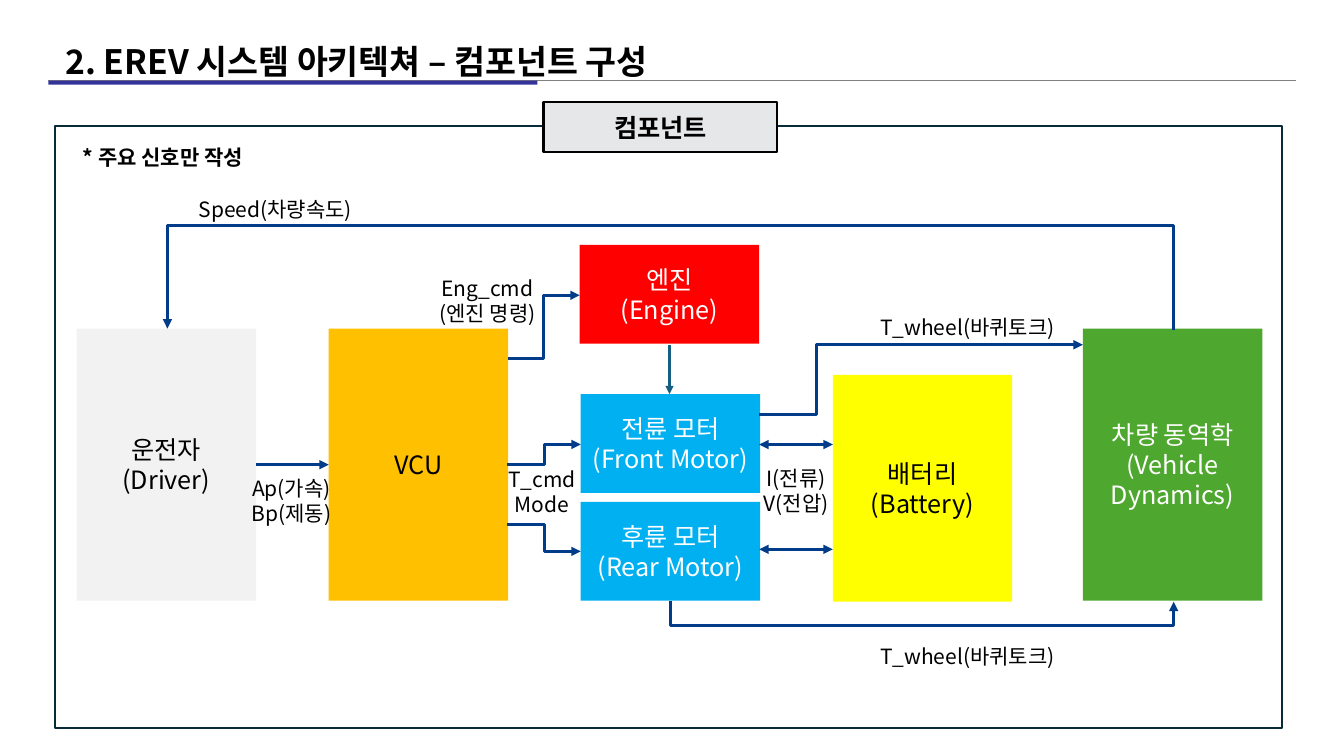
from dataclasses import dataclass

from lxml.etree import SubElement
from pptx import Presentation
from pptx.dml.color import RGBColor
from pptx.enum.shapes import MSO_CONNECTOR as Link, MSO_SHAPE as Shape
from pptx.enum.text import MSO_ANCHOR as Anchor, MSO_AUTO_SIZE as AutoSize, PP_ALIGN as Align
from pptx.oxml.ns import qn
from pptx.util import Inches, Pt


@dataclass(frozen=True)
class Theme:
    font: str = "Noto Sans CJK KR"
    title: int = 24
    block: int = 18
    label: int = 15
    black: str = "000000"
    white: str = "FFFFFF"
    rule: str = "808080"
    accent: str = "333399"
    frame: str = "092A39"
    header: str = "E6E7E8"
    signal: str = "003C89"
    shaft: str = "156082"
    driver: str = "F2F2F2"
    vcu: str = "FFC000"
    engine: str = "FF0000"
    motor: str = "00B0F0"
    battery: str = "FFFF00"
    vehicle: str = "4EA72E"


THEME = Theme()


def rgb(color):
    return RGBColor.from_string(color)


def assign(target, values):
    for name, value in values.items():
        setattr(target, name, value)


def write(frame, lines, size, color=THEME.black, bold=False, align=Align.CENTER,
          anchor=Anchor.MIDDLE, spacing=1.0):
    """Fill a text frame, one paragraph per line."""
    assign(frame, {"word_wrap": True, "vertical_anchor": anchor,
                   "auto_size": AutoSize.NONE, "text": lines})
    for paragraph in frame.paragraphs:
        assign(paragraph, {"alignment": align, "line_spacing": spacing})
        for run in paragraph.runs:
            assign(run.font, {"size": Pt(size), "bold": bold, "name": THEME.font})
            run.font.color.rgb = rgb(color)
            SubElement(run.font._element, qn("a:ea"), typeface=THEME.font)


def add_box(slide, box, fill=None, line=None):
    block = slide.shapes.add_shape(Shape.RECTANGLE, *map(Inches, box))
    block.shadow.inherit = False
    if fill:
        block.fill.solid()
        block.fill.fore_color.rgb = rgb(fill)
    else:
        block.fill.background()
    if line:
        block.line.color.rgb = rgb(line)
        block.line.width = Pt(1.5)
    else:
        block.line.fill.background()
    return block


def add_label(slide, box, lines, **format_values):
    label = slide.shapes.add_textbox(*map(Inches, box))
    write(label.text_frame, lines, THEME.label, anchor=Anchor.TOP, **format_values)


def add_line(slide, start, end, color=THEME.signal, width=2.25, ends=("tailEnd",),
             kind=Link.STRAIGHT):
    line = slide.shapes.add_connector(kind, *map(Inches, (*start, *end)))
    line.line.color.rgb = rgb(color)
    line.line.width = Pt(width)
    for end_name in ends:
        SubElement(line.line._get_or_add_ln(), qn(f"a:{end_name}"), type="triangle")
    SubElement(line._element.spPr, qn("a:effectLst"))
    return line


def bend(line, ratio):
    """Place the middle leg of an elbow at a share of its length."""
    guides = line._element.spPr.find(qn("a:prstGeom")).get_or_add_avLst()
    SubElement(guides, qn("a:gd"), name="adj1", fmla=f"val {round(ratio * 100000)}")


def add_step(slide, start, end, turn_x):
    """Elbow that leaves sideways and turns at turn_x."""
    line = add_line(slide, start, end, kind=Link.ELBOW)
    bend(line, (turn_x - start[0]) / (end[0] - start[0]))


def add_loop(slide, start, end, turn_y):
    """Elbow that leaves vertically, runs along turn_y and comes back."""
    center_x, center_y = ((a + b) / 2 for a, b in zip(start, end))
    # Ends as they lie before the quarter turn
    turned = [(center_x - (y - center_y), center_y + (x - center_x)) for x, y in (start, end)]
    line = add_line(slide, *turned, kind=Link.ELBOW)
    line._element.spPr.find(qn("a:xfrm")).set("rot", str(270 * 60000))
    bend(line, (turn_y - start[1]) / (end[1] - start[1]))


def build_title(slide, box):
    left, top, width, height = box
    rule_y = top + 0.54
    add_line(slide, (left - 0.07, rule_y), (left + 12.3, rule_y), THEME.rule, 1, ends=())
    add_box(slide, (left - 0.07, rule_y, 4.85, 0.04), THEME.accent)
    title = slide.shapes.title
    assign(title, dict(zip(("left", "top", "width", "height"), map(Inches, box))))
    write(title.text_frame, "2. EREV 시스템 아키텍쳐 – 컴포넌트 구성", THEME.title,
          bold=True, align=Align.LEFT, spacing=1.5)


def build_panel(slide, box):
    left, top, width, height = box
    add_box(slide, box, line=THEME.frame)
    header = add_box(slide, (left + 4.84, top - 0.24, 2.32, 0.5), THEME.header, THEME.black)
    write(header.text_frame, "컴포넌트", THEME.block, bold=True)
    add_label(slide, (left, top + 0.01, 2.13, 0.43), "* 주요 신호만 작성",
              bold=True, spacing=1.5)


def build_blocks(slide, box):
    left, top, width, height = box
    block_w, tall, low = 1.78, 2.7, 0.98
    motor_x = left + 5
    blocks = [
        (left + 7.5, top + 0.46, 2.25, THEME.battery, THEME.black, "배터리\n(Battery)"),
        (left + 2.5, top, tall, THEME.vcu, THEME.black, "VCU"),
        (left, top, tall, THEME.driver, THEME.black, "운전자\n(Driver)"),
        (left + width - block_w, top, tall, THEME.vehicle, THEME.white,
         "차량 동역학\n(Vehicle Dynamics)"),
        (motor_x, top + 1.72, low, THEME.motor, THEME.white, "후륜 모터\n(Rear Motor)"),
        (motor_x, top + 0.65, low, THEME.motor, THEME.white, "전륜 모터\n(Front Motor)"),
        (motor_x - 0.01, top - 0.83, low, THEME.engine, THEME.white, "엔진\n(Engine)"),
    ]
    for x, y, block_h, fill, ink, name in blocks:
        block = add_box(slide, (x, y, block_w, block_h), fill)
        write(block.text_frame, name, THEME.block, ink)


def build_signals(slide, box):
    left, top, width, height = box

    def at(x, y):
        return left + x, top + y

    # Driver to VCU, engine to front motor
    add_line(slide, at(1.78, 1.35), at(2.5, 1.35))
    add_line(slide, at(5.88, 0.16), at(5.88, 0.65), THEME.shaft, 1.5)
    # Vehicle speed back to the driver, rear wheel torque to the vehicle
    add_loop(slide, at(10.88, 0.01), at(0.9, 0), top - 1.04)
    add_loop(slide, at(5.89, 2.7), at(10.88, 2.71), top + 2.95)
    # VCU commands, front wheel torque
    for start, end, turn in [
        (at(4.27, 1.35), at(5, 1.15), 4.64),
        (at(4.27, 1.94), at(5, 2.21), 4.64),
        (at(4.28, 0.3), at(4.99, -0.33), 4.63),
        (at(6.77, 0.85), at(9.98, 0.16), 7.34),
    ]:
        add_step(slide, start, end, left + turn)
    # Motors and battery
    for y in (1.15, 2.19):
        add_line(slide, at(6.77, y), at(7.5, y), ends=("headEnd", "tailEnd"))
    # Signal names
    for x, y, label_w, lines in [
        (1.63, 1.41, 1, "Ap(가속)\nBp(제동)"),
        (4.17, 1.32, 0.89, "T_cmd\nMode"),
        (6.69, 1.31, 0.89, "I(전류)\nV(전압)"),
        (3.29, -0.58, 1.57, "Eng_cmd\n(엔진 명령)"),
    ]:
        add_label(slide, (*at(x, y), label_w, 0.61), lines)
    for x, y, label_w, name in [
        (7.74, -0.31, 2.19, "T_wheel(바퀴토크)"),
        (7.74, 2.95, 2.19, "T_wheel(바퀴토크)"),
        (1.07, -1.48, 1.8, "Speed(차량속도)"),
    ]:
        add_label(slide, (*at(x, y), label_w, 0.43), name, spacing=1.5)


def main():
    deck = Presentation()
    assign(deck, {"slide_width": Inches(13.33), "slide_height": Inches(7.5)})
    slide = deck.slides.add_slide(deck.slide_layouts[5])
    diagram = (0.76, 3.26, 11.76, 2.7)
    build_title(slide, (0.55, 0.26, 12, 0.5))
    build_panel(slide, (0.55, 1.25, 12.17, 5.97))
    build_blocks(slide, diagram)
    build_signals(slide, diagram)
    deck.save("out.pptx")


if __name__ == "__main__":
    main()
